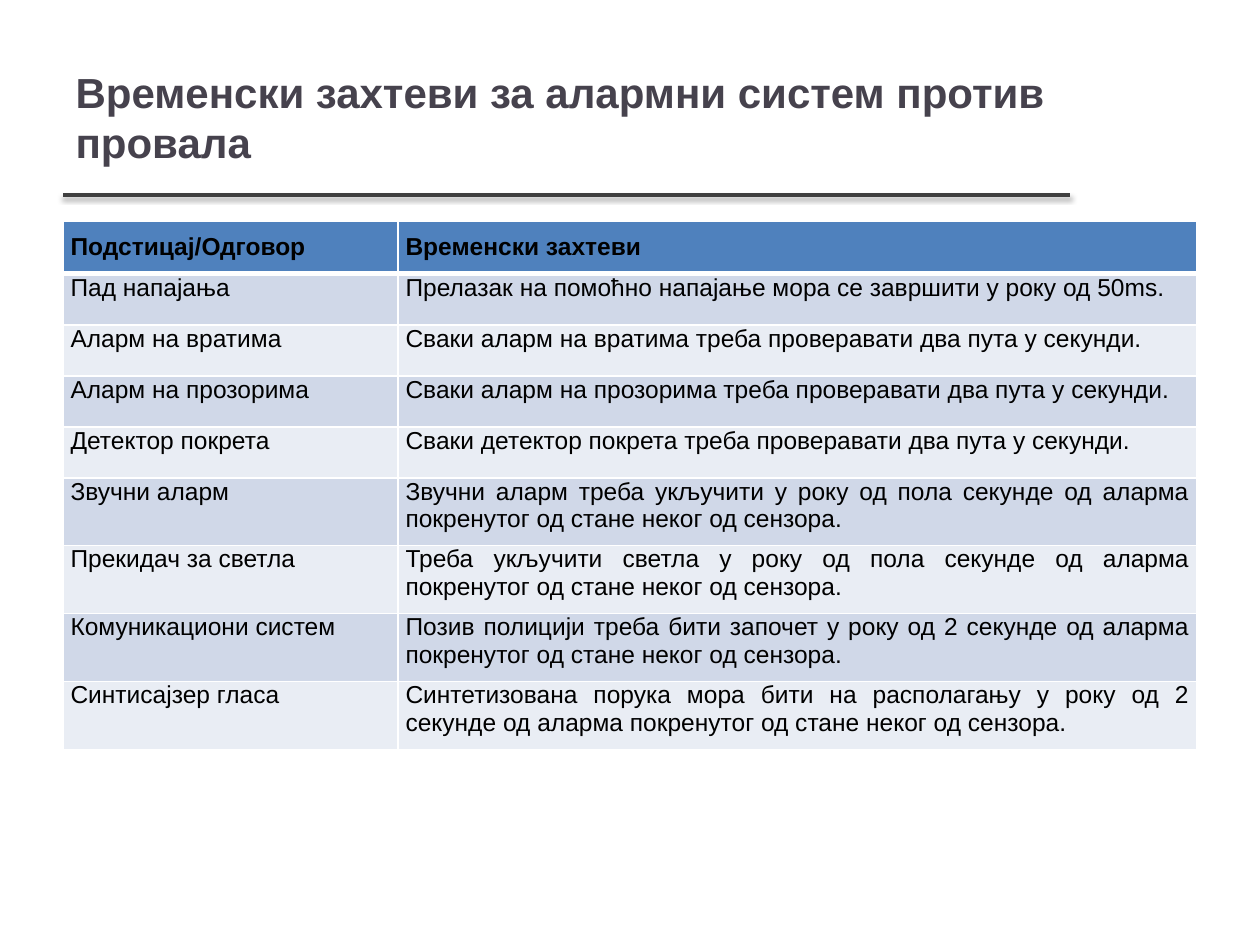
from lxml import etree
from pptx import Presentation
from pptx import util as u
from pptx.dml.color import RGBColor
from pptx.enum import shapes, text
from pptx.oxml import ns

PX = 914400 / 126
FONT = "Arial"
TITLE_COLOR = RGBColor(0x46, 0x42, 0x4D)
RULE_COLOR = RGBColor(0x40, 0x40, 0x40)
BLACK = RGBColor(0, 0, 0)
WHITE = RGBColor(0xFF, 0xFF, 0xFF)
HEADER_FILL = RGBColor(0x4F, 0x81, 0xBD)
BAND_FILLS = [RGBColor(0xD0, 0xD8, 0xE8), RGBColor(0xE9, 0xED, 0xF4)]

COLUMN_WIDTHS = [335, 799]
ROW_HEIGHTS = [51] * 5 + [68] * 4
REQUIREMENTS = [
    ("Подстицај/Одговор", "Временски захтеви"),
    ("Пад напајања",
     "Прелазак на помоћно напајање мора се завршити у року од 50ms."),
    ("Аларм на вратима",
     "Сваки аларм на вратима треба проверавати два пута у секунди."),
    ("Аларм на прозорима",
     "Сваки аларм на прозорима треба проверавати два пута у секунди."),
    ("Детектор покрета",
     "Сваки детектор покрета треба проверавати два пута у секунди."),
    ("Звучни аларм",
     "Звучни аларм треба укључити у року од пола секунде од аларма "
     "покренутог од стане неког од сензора."),
    ("Прекидач за светла",
     "Треба укључити светла у року од пола секунде од аларма "
     "покренутог од стане неког од сензора."),
    ("Комуникациони систем",
     "Позив полицији треба бити започет у року од 2 секунде од аларма "
     "покренутог од стане неког од сензора."),
    ("Синтисајзер гласа",
     "Синтетизована порука мора бити на располагању у року од 2 секунде "
     "од аларма покренутог од стане неког од сензора."),
]


def px(n):
    return u.Emu(round(n * PX))


def set_attrs(target, values):
    for name, value in values.items():
        setattr(target, name, value)


def add_text(p, words, size, color, bold, align):
    p.alignment = align
    r = p.add_run()
    r.text = words
    set_attrs(r.font, {"name": FONT, "size": u.Pt(size), "bold": bold})
    r.font.color.rgb = color


def add_title(s, words):
    title = s.shapes.title
    set_attrs(title, {"left": px(63), "top": px(38),
                      "width": px(1006), "height": px(157)})
    tf = title.text_frame
    set_attrs(tf, {"word_wrap": True, "auto_size": text.MSO_AUTO_SIZE.NONE,
                   "vertical_anchor": text.MSO_ANCHOR.MIDDLE})
    add_text(tf.paragraphs[0], words, 24, TITLE_COLOR, True, text.PP_ALIGN.LEFT)


def add_rule(s):
    rule = s.shapes.add_connector(shapes.MSO_CONNECTOR.STRAIGHT,
                                  px(63), px(195), px(1070), px(195))
    rule.line.width = u.Pt(2)
    rule.line.color.rgb = RULE_COLOR
    # Soft shadow below the rule
    effects = etree.SubElement(rule._element.spPr, ns.qn("a:effectLst"))
    shadow = etree.SubElement(effects, ns.qn("a:outerShdw"), blurRad="40000",
                              dist="20000", dir="5400000", rotWithShape="0")
    color = etree.SubElement(shadow, ns.qn("a:srgbClr"), val=str(BLACK))
    etree.SubElement(color, ns.qn("a:alpha"), val="38000")


def set_borders(cell, widths):
    tc_pr = cell._tc.get_or_add_tcPr()
    for i, (side, width) in enumerate(widths.items()):
        line = etree.Element(ns.qn(f"a:ln{side}"), w=str(u.Pt(width)))
        fill = etree.SubElement(line, ns.qn("a:solidFill"))
        etree.SubElement(fill, ns.qn("a:srgbClr"), val=str(WHITE))
        tc_pr.insert(i, line)


def fill_cell(cell, words, row):
    header = row == 0
    set_attrs(cell, {"margin_left": u.Inches(0.06), "margin_right": u.Inches(0.06),
                     "margin_top": u.Inches(0.1 if header else 0),
                     "margin_bottom": u.Inches(0.1)})
    cell.fill.solid()
    cell.fill.fore_color.rgb = HEADER_FILL if header else BAND_FILLS[(row - 1) % 2]
    set_borders(cell, {"L": 1, "R": 1, "T": 3 if row == 1 else 1,
                       "B": 3 if header else 1})
    add_text(cell.text_frame.paragraphs[0], words, 14, BLACK, header,
             text.PP_ALIGN.JUSTIFY)


def add_requirements_table(s):
    table = s.shapes.add_table(len(REQUIREMENTS), len(COLUMN_WIDTHS),
                               px(63), px(221), px(sum(COLUMN_WIDTHS)),
                               px(sum(ROW_HEIGHTS))).table
    for column, width in zip(table.columns, COLUMN_WIDTHS):
        column.width = px(width)
    for i, (height, words) in enumerate(zip(ROW_HEIGHTS, REQUIREMENTS)):
        table.rows[i].height = px(height)
        for j, cell_words in enumerate(words):
            fill_cell(table.cell(i, j), cell_words, i)


def main():
    prs = Presentation()
    set_attrs(prs, {"slide_width": px(1260), "slide_height": px(945)})
    s = prs.slides.add_slide(prs.slide_layouts[5])
    add_title(s, "Временски захтеви за алармни систем против провала")
    add_rule(s)
    add_requirements_table(s)
    prs.save("out.pptx")


if __name__ == "__main__":
    main()
